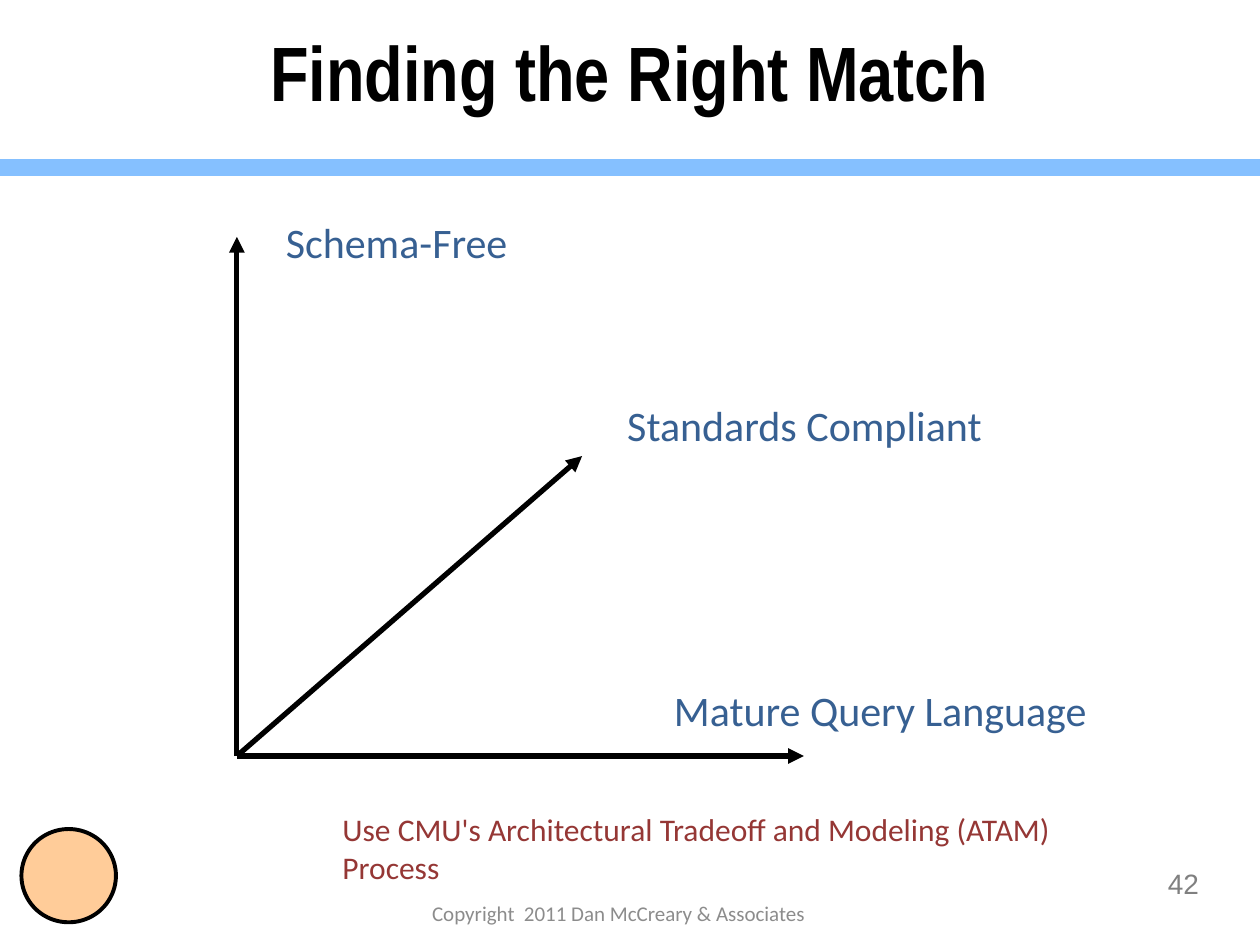
"""Build the slide showing three axes for finding the right match."""
from lxml import etree
from pptx import Presentation
from pptx import util as u
from pptx.dml.color import RGBColor
from pptx.enum import shapes, text
from pptx.oxml.ns import qn

COLORS = {
    "black": "000000", "band": "85C0FF", "axis_label": "376092", "note": "953735",
    "number": "808080", "footer": "8C8C8C", "mark": "FFCC99",
}
LEFT, CENTER = text.PP_ALIGN.LEFT, text.PP_ALIGN.CENTER
TOP, MIDDLE = text.MSO_ANCHOR.TOP, text.MSO_ANCHOR.MIDDLE

presentation = Presentation()
presentation.slide_width, presentation.slide_height = u.Inches(10), u.Inches(7.5)
slide = presentation.slides.add_slide(presentation.slide_layouts[6])


def add_text(content, left, top, width, height, size=24, font="Calibri", color="axis_label",
             bold=False, align=LEFT, anchor=TOP, wrap=False):
    box = slide.shapes.add_textbox(*map(u.Inches, (left, top, width, height)))
    frame = box.text_frame
    frame.word_wrap, frame.vertical_anchor = wrap, anchor
    paragraph = frame.paragraphs[0]
    paragraph.alignment = align
    run = paragraph.add_run()
    run.text = content
    run.font.size, run.font.name, run.font.bold = u.Pt(size), font, bold
    run.font.color.rgb = RGBColor.from_string(COLORS[color])


def add_line(start, end, color="black", width=3, arrow=True):
    connector = slide.shapes.add_connector(
        shapes.MSO_CONNECTOR.STRAIGHT, *map(u.Inches, (*start, *end)))
    connector.line.color.rgb = RGBColor.from_string(COLORS[color])
    connector.line.width = u.Pt(width)
    if arrow:
        etree.SubElement(connector.line._get_or_add_ln(), qn("a:tailEnd"), type="triangle")
    etree.SubElement(connector._element.spPr, qn("a:effectLst"))


add_line((0, 1.33), (10, 1.33), color="band", width=10, arrow=False)

mark = slide.shapes.add_shape(
    shapes.MSO_SHAPE.OVAL, *map(u.Inches, (0.17, 6.58, 0.75, 0.74)))
mark.shadow.inherit = False
mark.fill.solid()
mark.fill.fore_color.rgb = RGBColor.from_string(COLORS["mark"])
mark.line.color.rgb = RGBColor.from_string(COLORS["black"])
mark.line.width = u.Pt(2.25)

add_text("Finding the Right Match", 0.75, 0.12, 8.5, 0.88, size=44, font="Arial Narrow",
         color="black", bold=True, align=CENTER, anchor=MIDDLE, wrap=True)

origin = (1.88, 6)
axes = [
    ("Schema-Free", (1.88, 1.88), (2.17, 1.67, 1.98, 0.5)),
    ("Mature Query Language", (6.38, 6), (5.25, 5.38, 3.51, 0.5)),
    ("Standards Compliant", (4.62, 3.62), (4.88, 3.12, 3.04, 0.5)),
]
for label, tip, label_area in axes:
    add_line(origin, tip)
    add_text(label, *label_area)

add_text("Use CMU's Architectural Tradeoff and Modeling (ATAM) Process",
         2.62, 6.38, 6.44, 0.4, size=18, color="note", wrap=True)
add_text("Copyright  2011 Dan McCreary & Associates", 2.62, 7, 4.58, 0.5, size=12,
         color="footer", align=CENTER, anchor=MIDDLE, wrap=True)
add_text("42", 9.17, 6.83, 0.58, 0.5, size=16, font="Arial", color="number", wrap=True)

presentation.save("out.pptx")
